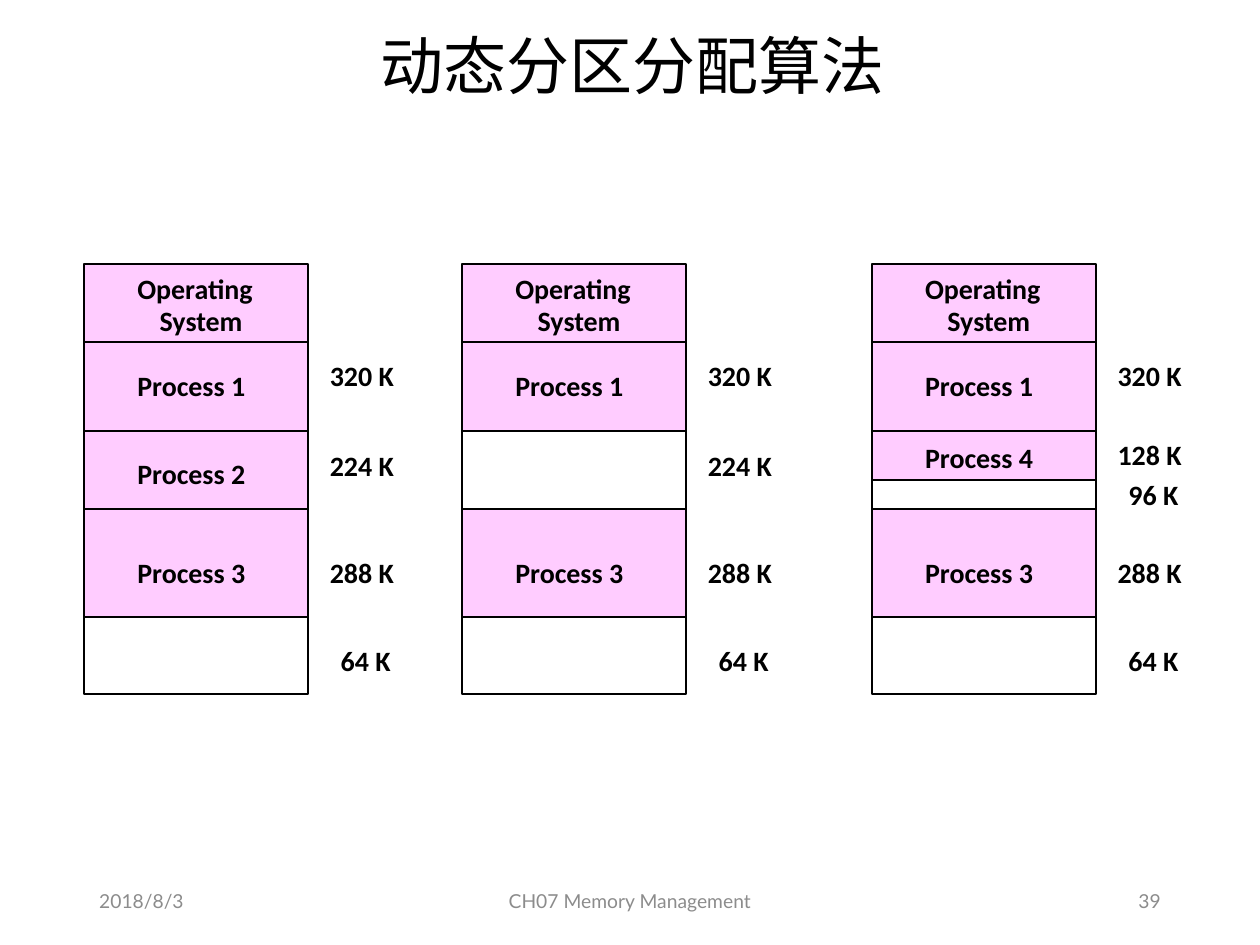
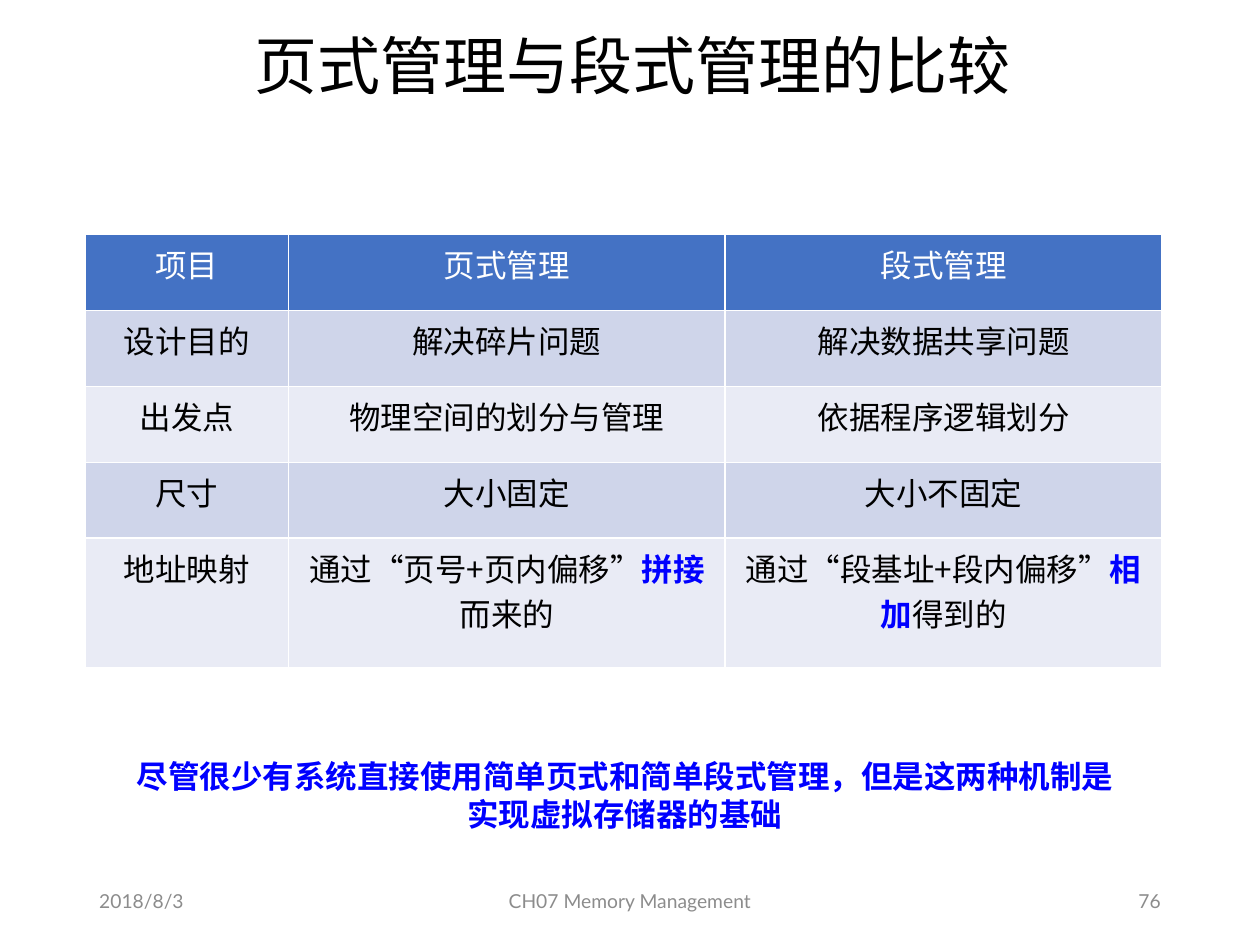
from dataclasses import dataclass
from itertools import accumulate

from lxml import etree
from pptx import Presentation
from pptx.dml.color import RGBColor
from pptx.enum.shapes import MSO_CONNECTOR, MSO_SHAPE
from pptx.enum.text import MSO_ANCHOR, PP_ALIGN
from pptx.oxml.ns import qn
from pptx.util import Cm, Pt


@dataclass(frozen=True)
class Theme:
    black: str = "000000"
    white: str = "FFFFFF"
    grey: str = "8C8C8C"
    pink: str = "FFCCFF"
    emphasis: str = "0000FF"
    header: str = "4472C4"
    bands: tuple = ("CFD5EA", "E9EBF5")
    chinese_font: str = "Noto Sans CJK SC"
    footer_font: str = "Lato"
    label_font: str = "Calibri"
    title_size: int = 36
    body_size: int = 18
    label_size: int = 16
    footer_size: int = 11
    border: float = 1.13


THEME = Theme()


@dataclass(frozen=True)
class Block:
    """A memory region; drops are distances in cm from its top to its texts."""
    height: float
    name: str = ""
    name_drop: float = 0
    size: str = ""
    size_drop: float = 0


SYSTEM = Block(1.57, "Operating\nSystem", 0.15)
PROCESS_1 = Block(1.78, "Process 1", 0.53, "320 K", 0.33)
PROCESS_2 = Block(1.58, "Process 2", 0.53, "224 K", 0.36)
FREED_2 = Block(1.58, size="224 K", size_drop=0.36)
PROCESS_4 = Block(0.99, "Process 4", 0.2, "128 K", 0.15)
REMAINDER = Block(0.59, size="96 K", size_drop=-0.05)
PROCESS_3 = Block(2.18, "Process 3", 0.94, "288 K", 0.94)
FREE = Block(1.55, size="64 K", size_drop=0.53)

MEMORY_STATES = [
    (1.7, [SYSTEM, PROCESS_1, PROCESS_2, PROCESS_3, FREE]),
    (9.32, [SYSTEM, PROCESS_1, FREED_2, PROCESS_3, FREE]),
    (17.58, [SYSTEM, PROCESS_1, PROCESS_4, REMAINDER, PROCESS_3, FREE]),
]

COMPARISON = [
    ["项目", "页式管理", "段式管理"],
    ["设计目的", "解决碎片问题", "解决数据共享问题"],
    ["出发点", "物理空间的划分与管理", "依据程序逻辑划分"],
    ["尺寸", "大小固定", "大小不固定"],
    ["地址映射",
     ["通过“页号+页内偏移”", "拼接", "而来的"],
     ["通过“段基址+段内偏移”", "相加", "得到的"]],
]


def rgb(color):
    return RGBColor.from_string(color)


def add_run(paragraph, text, font, size, color, bold=False):
    run = paragraph.add_run()
    run.text = text
    run.font.name = font
    run.font.size = Pt(size)
    run.font.bold = bold
    run.font.color.rgb = rgb(color)
    east_asian = etree.SubElement(run.font._element, qn("a:ea"))
    east_asian.set("typeface", font)


def add_text(shapes, text, box, *, font=THEME.chinese_font, size=THEME.body_size,
             color=THEME.black, bold=False, align=PP_ALIGN.LEFT,
             anchor=MSO_ANCHOR.TOP, line_spacing=None, inset=True):
    frame = shapes.add_textbox(*map(Cm, box)).text_frame
    frame.word_wrap = True
    frame.vertical_anchor = anchor
    if not inset:
        frame.margin_left = frame.margin_right = 0
        frame.margin_top = frame.margin_bottom = 0
    paragraph = frame.paragraphs[0]
    paragraph.alignment = align
    paragraph.line_spacing = line_spacing
    add_run(paragraph, text, font, size, color, bold)


def add_rectangle(shapes, box, fill=None, line=None):
    shape = shapes.add_shape(MSO_SHAPE.RECTANGLE, *map(Cm, box))
    shape.shadow.inherit = False
    if fill:
        shape.fill.solid()
        shape.fill.fore_color.rgb = rgb(fill)
    else:
        shape.fill.background()
    if line:
        shape.line.color.rgb = rgb(line)
        shape.line.width = Pt(THEME.border)
    else:
        shape.line.fill.background()


def add_divider(shapes, left, top, width):
    connector = shapes.add_connector(
        MSO_CONNECTOR.STRAIGHT, Cm(left), Cm(top), Cm(left + width), Cm(top))
    connector.line.color.rgb = rgb(THEME.black)
    connector.line.width = Pt(THEME.border)
    etree.SubElement(connector._element.spPr, qn("a:effectLst"))


def add_slide(presentation, title, number):
    """Add a blank slide with the shared title and footers."""
    slide = presentation.slides.add_slide(presentation.slide_layouts[6])
    add_text(slide.shapes, title, (1.8, 0.43, 21.9, 1.93), size=THEME.title_size,
             align=PP_ALIGN.CENTER, anchor=MSO_ANCHOR.MIDDLE, line_spacing=0.9)
    footers = [
        ("2018/8/3", 1.75, 5.72, PP_ALIGN.LEFT),
        ("CH07 Memory Management", 8.41, 8.58, PP_ALIGN.CENTER),
        (str(number), 17.93, 5.72, PP_ALIGN.RIGHT),
    ]
    for text, left, width, align in footers:
        add_text(slide.shapes, text, (left, 17.65, width, 1.02),
                 font=THEME.footer_font, size=THEME.footer_size,
                 color=THEME.grey, align=align, anchor=MSO_ANCHOR.MIDDLE)
    return slide


def add_memory_label(shapes, text, left, top):
    add_text(shapes, text, (left, top, 2.6, 0.69), font=THEME.label_font,
             size=THEME.label_size, bold=True, inset=False)


def add_memory_column(slide, blocks, left, top, width):
    """Stack the blocks from top to bottom, filling the occupied ones."""
    shapes = slide.shapes.add_group_shape().shapes
    offsets = list(accumulate((block.height for block in blocks), initial=0))
    for block, offset in zip(blocks, offsets):
        if block.name:
            add_rectangle(shapes, (left, top + offset, width, block.height), THEME.pink)
    add_rectangle(shapes, (left, top, width, offsets[-1]), line=THEME.black)
    for offset in offsets[1:-1]:
        add_divider(shapes, left, top + offset, width)
    for block, offset in zip(blocks, offsets):
        for index, line in enumerate(block.name.splitlines()):
            add_memory_label(shapes, line, left + 1.07 + 0.45 * index,
                             top + offset + block.name_drop + 0.64 * index)
        if block.size:
            indent = 0.22 if len(block.size) == 4 else 0
            add_memory_label(shapes, block.size, left + 4.95 + indent,
                             top + offset + block.size_drop)


def set_cell_borders(cell, color, width):
    properties = cell._tc.get_or_add_tcPr()
    for position, side in enumerate(("lnL", "lnR", "lnT", "lnB")):
        line = etree.Element(qn(f"a:{side}"), w=str(Pt(width)))
        fill = etree.SubElement(line, qn("a:solidFill"))
        etree.SubElement(fill, qn("a:srgbClr"), val=color)
        properties.insert(position, line)


def fill_cell(cell, content, fill, color):
    """Write a string, or a list whose second part is emphasised."""
    cell.fill.solid()
    cell.fill.fore_color.rgb = rgb(fill)
    set_cell_borders(cell, THEME.white, 1)
    paragraph = cell.text_frame.paragraphs[0]
    paragraph.alignment = PP_ALIGN.CENTER
    parts = [content] if isinstance(content, str) else content
    for index, part in enumerate(parts):
        strong = index == 1
        add_run(paragraph, part, THEME.chinese_font, THEME.body_size,
                THEME.emphasis if strong else color, strong)


def add_comparison_table(slide, left, top):
    widths = [4.11, 8.8, 8.8]
    heights = [1.53] * 4 + [2.62]
    table = slide.shapes.add_table(
        len(heights), len(widths), Cm(left), Cm(top),
        Cm(sum(widths)), Cm(sum(heights))).table
    table.first_row = table.horz_banding = False
    for column, width in zip(table.columns, widths):
        column.width = Cm(width)
    for row_index, (row, height) in enumerate(zip(table.rows, heights)):
        row.height = Cm(height)
        is_header = row_index == 0
        fill = THEME.header if is_header else THEME.bands[(row_index - 1) % 2]
        color = THEME.white if is_header else THEME.black
        for cell, content in zip(row.cells, COMPARISON[row_index]):
            fill_cell(cell, content, fill, color)


def build_allocation_slide(presentation):
    slide = add_slide(presentation, "动态分区分配算法", 39)
    for left, blocks in MEMORY_STATES:
        add_memory_column(slide, blocks, left, top=5.33, width=4.52)


def build_comparison_slide(presentation):
    slide = add_slide(presentation, "页式管理与段式管理的比较", 76)
    add_comparison_table(slide, left=1.71, top=4.73)
    add_text(slide.shapes,
             "尽管很少有系统直接使用简单页式和简单段式管理，但是这两种机制是实现虚拟存储器的基础",
             (2.5, 15.12, 20.2, 1.8), color=THEME.emphasis, bold=True,
             align=PP_ALIGN.CENTER, line_spacing=Pt(22))


def main():
    presentation = Presentation()
    presentation.slide_width = Cm(25.4)
    presentation.slide_height = Cm(19.05)
    build_allocation_slide(presentation)
    build_comparison_slide(presentation)
    presentation.save("out.pptx")


if __name__ == "__main__":
    main()
